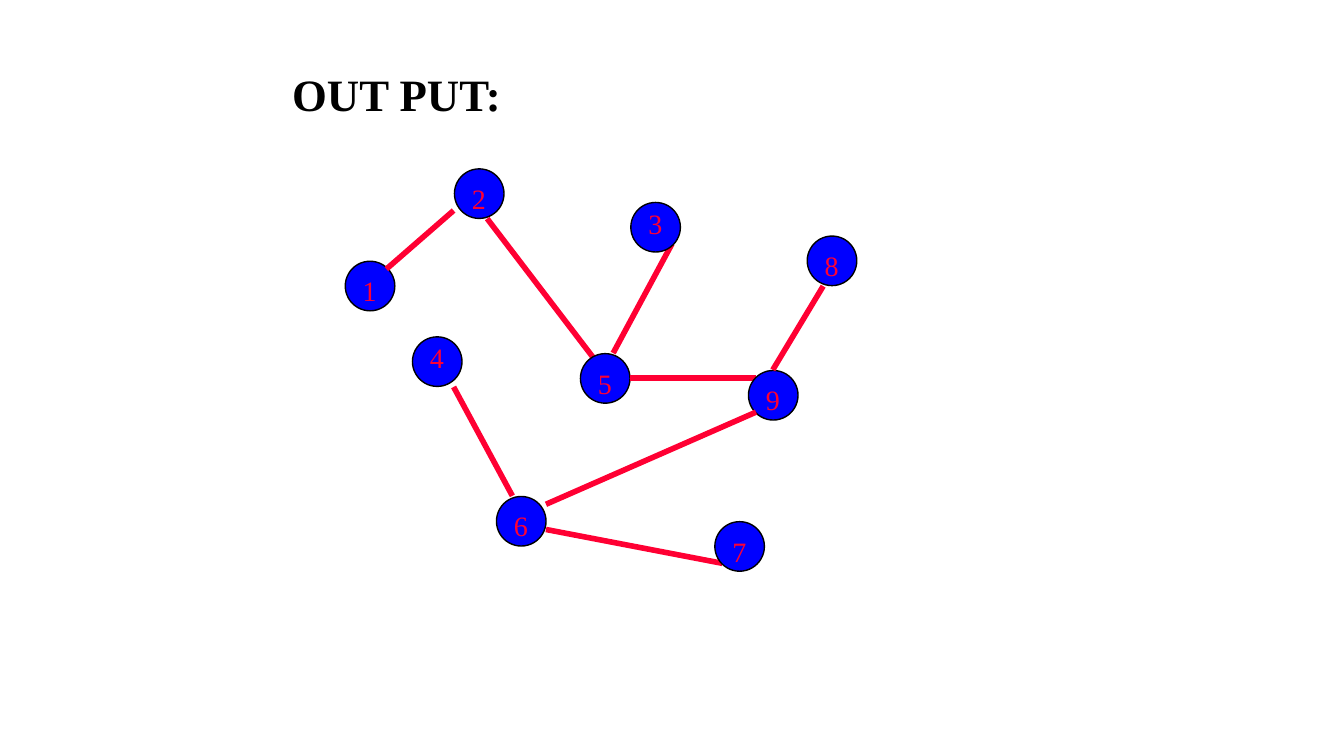
from pptx import Presentation
from pptx.dml.color import RGBColor
from pptx.enum.shapes import MSO_CONNECTOR, MSO_SHAPE
from pptx.oxml.ns import qn
from pptx.util import Pt
from lxml.etree import SubElement

COLORS = {"node": "0000FF", "outline": "000000", "edge": "FF0033",
          "label": "FF0033", "title": "000000"}
FONT = "Times New Roman"
NODE_SIZE = 35.4
NODE_INSET = 0.6
LABEL_INSET = 6

# Number: left, top and downward shift of the label
NODES = {
    1: (246, 186, 6), 2: (324, 120, 6), 5: (414, 252, 6),
    9: (534, 264, 6), 8: (576, 168, 6), 6: (354, 354, 6),
    4: (294, 240, 0), 7: (510, 372, 6), 3: (450, 144, 0),
}

# Each edge is drawn just before the node it leads to
EDGES = {
    2: (324, 150.4, 276, 192.2),
    5: (348, 156.2, 426, 258.4),
    9: (450, 270.2, 540, 270.2),
    8: (588, 204.4, 552, 264.2),
    6: (390, 360.2, 540, 294.4),
    4: (324, 276.4, 366, 354.2),
    7: (390, 378.2, 516, 402.4),
    3: (480, 174.2, 438, 252.2),
}


def rgb(name):
    return RGBColor.from_string(COLORS[name])


def add_text(shapes, text, left, top, width, height, size, color, bold=False):
    box = shapes.add_textbox(Pt(left), Pt(top), Pt(width), Pt(height))
    tf = box.text_frame
    tf.word_wrap = True
    tf.text = text
    font = tf.paragraphs[0].runs[0].font
    font.name, font.size, font.bold = FONT, Pt(size), bold
    font.color.rgb = rgb(color)


def add_edge(shapes, x1, y1, x2, y2):
    line = shapes.add_connector(MSO_CONNECTOR.STRAIGHT,
                                Pt(x1), Pt(y1), Pt(x2), Pt(y2))
    line.line.color.rgb = rgb("edge")
    line.line.width = Pt(4)
    SubElement(line._element.spPr, qn("a:effectLst"))


def add_node(shapes, number, left, top, label_shift):
    group = shapes.add_group_shape()
    sp = group.shapes.add_shape(MSO_SHAPE.OVAL,
                                Pt(left + NODE_INSET), Pt(top + NODE_INSET),
                                Pt(NODE_SIZE), Pt(NODE_SIZE))
    sp.shadow.inherit = False
    sp.fill.solid()
    sp.fill.fore_color.rgb = rgb("node")
    sp.line.color.rgb = rgb("outline")
    sp.line.width = Pt(1)
    add_text(group.shapes, str(number), left + LABEL_INSET,
             top + label_shift, 18, 31.5, 20, "label")


def main():
    prs = Presentation()
    prs.slide_width, prs.slide_height = Pt(960), Pt(540)
    shapes = prs.slides.add_slide(prs.slide_layouts[6]).shapes

    # Spanning tree
    for number, (left, top, label_shift) in NODES.items():
        if number in EDGES:
            add_edge(shapes, *EDGES[number])
        add_node(shapes, number, left, top, label_shift)

    # Title
    add_text(shapes, "OUT PUT:", 201.6, 44, 314.6, 46, 32, "title", bold=True)

    prs.save("out.pptx")


if __name__ == "__main__":
    main()
